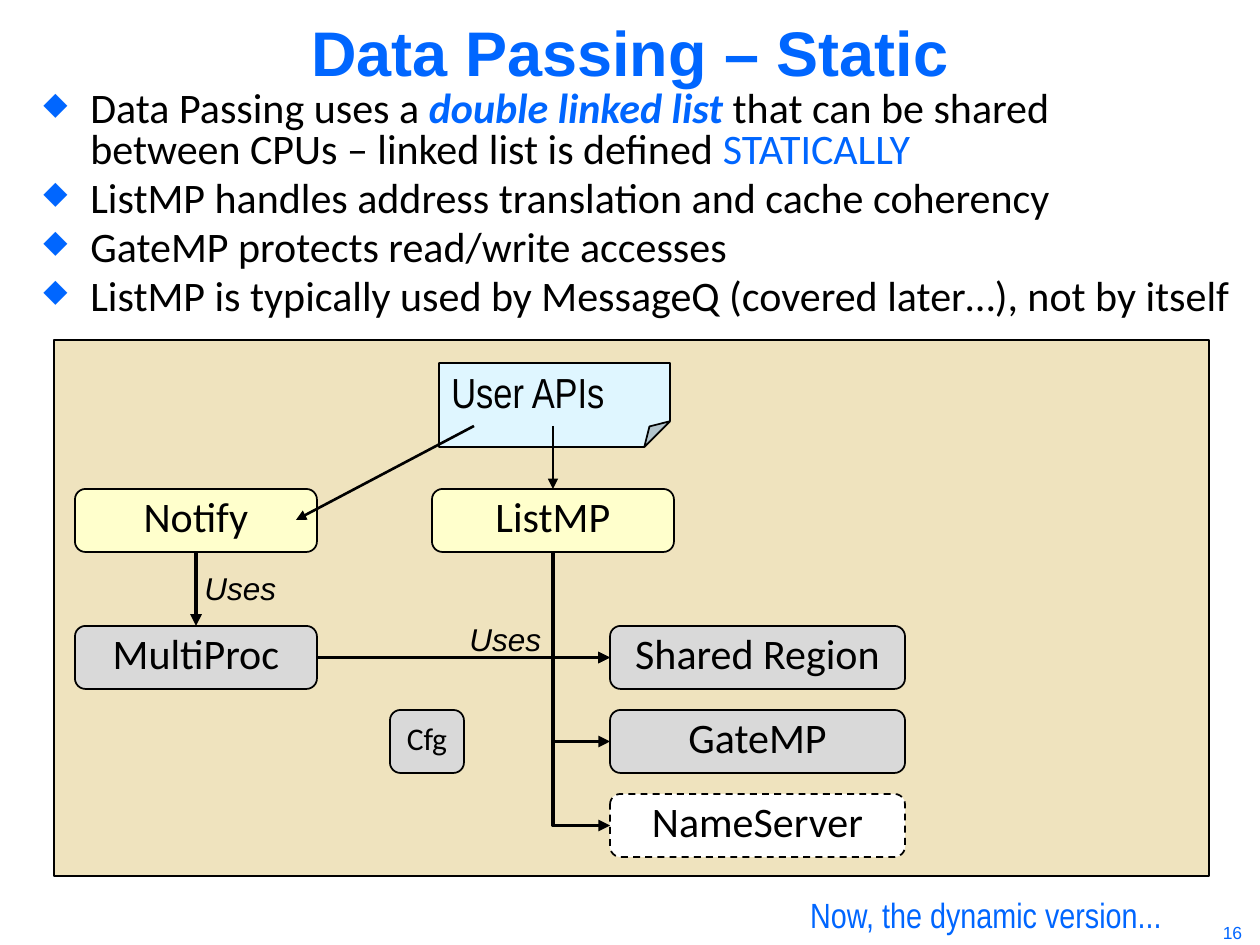
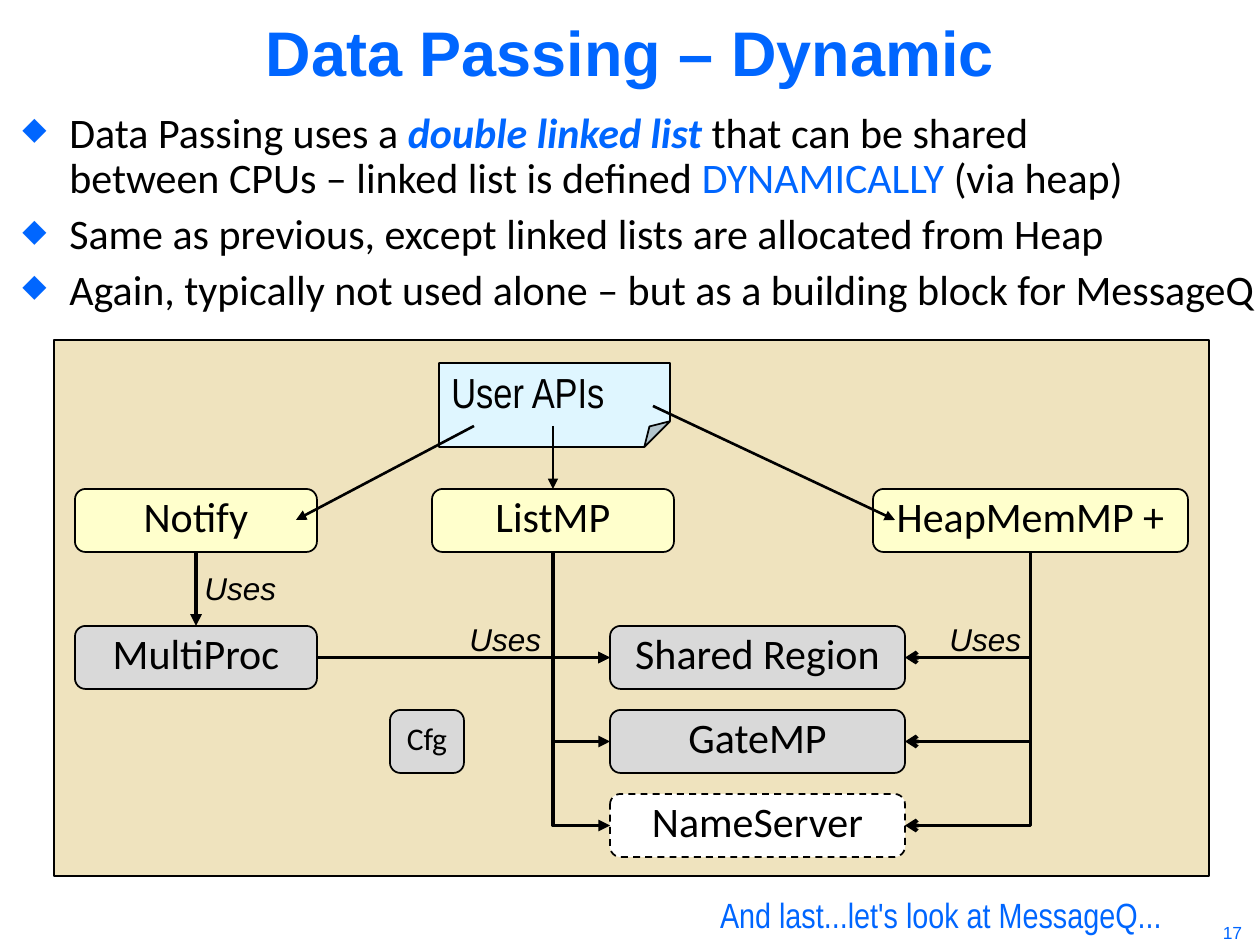
from lxml.etree import SubElement
from pptx import Presentation
from pptx.dml.color import RGBColor
from pptx.enum.dml import MSO_LINE_DASH_STYLE as Dash
from pptx.enum.shapes import MSO_CONNECTOR as Link, MSO_SHAPE as Shape
from pptx.enum.text import MSO_ANCHOR as Anchor, MSO_AUTO_SIZE as AutoSize, PP_ALIGN as Align
from pptx.oxml.ns import qn
from pptx.util import Pt

# Shared look
BLUE = RGBColor(0x00, 0x66, 0xFF)
BLACK = RGBColor(0x00, 0x00, 0x00)
WHITE = RGBColor(0xFF, 0xFF, 0xFF)
SAND = RGBColor(0xEF, 0xE3, 0xBE)
YELLOW = RGBColor(0xFF, 0xFF, 0xCC)
GREY = RGBColor(0xD9, 0xD9, 0xD9)
SKY = RGBColor(0xDF, 0xF6, 0xFF)

PX_PER_INCH = 126
SLIDE_W, SLIDE_H = 1260, 945
NODE_H = 63
USES_W, USES_H = 102, 50
BOTTOM_NOTE_RIGHT = 1162
HANGING_INDENT = 47
TOP, LEFT, BOTTOM, RIGHT = range(4)

# Content: each bullet is a list of (text, style) runs; BREAK starts a new line
BREAK = ("", "break")
OPENING = [("Data Passing uses a ", ""), ("double linked list ", "strong"),
           ("that can be shared", ""), BREAK,
           ("between CPUs – linked list is defined ", "")]

SLIDES = [
    {
        "title": "Data Passing – Static",
        "bullets": [
            OPENING + [("STATICALLY", "blue")],
            [("ListMP handles address translation and cache coherency", "")],
            [("GateMP protects read/write accesses", "")],
            [("ListMP is typically used by MessageQ (covered later…), not by itself", "")],
        ],
        "bullet_box": (31, 84, 1213, 243), "line_spacing": 0.8, "gap": 5,
        "next": "Now, the dynamic version...", "next_width": 354,
        "number": "16", "heap": False,
    },
    {
        "title": "Data Passing – Dynamic",
        "bullets": [
            OPENING + [("DYNAMICALLY", "blue"), (" (via heap)", "")],
            [("Same as previous, except linked lists are allocated from Heap", "")],
            [("Again, typically not used alone – but as a building block for MessageQ", "")],
        ],
        "bullet_box": (10, 105, 1259, 217), "line_spacing": 0.9, "gap": 6,
        "next": "And last...let's look at MessageQ...", "next_width": 445,
        "number": "17", "heap": True,
    },
]

# Diagram: name -> left, top, width, fill
API_ROW, SERVICE_ROW, ROW_STEP = 489, 626, 84
PANEL = (54, 340, 1155, 536)
USER_APIS = (439, 363, 231, 84)
NODES = {
    "Notify": (75, API_ROW, 242, YELLOW),
    "MultiProc": (75, SERVICE_ROW, 242, GREY),
    "ListMP": (432, API_ROW, 242, YELLOW),
    "Cfg": (390, SERVICE_ROW + ROW_STEP, 74, GREY),
}
SERVICES = {"Shared Region": GREY, "GateMP": GREY, "NameServer": WHITE}
NODES |= {name: (610, SERVICE_ROW + row * ROW_STEP, 295, fill)
          for row, (name, fill) in enumerate(SERVICES.items())}
HEAP_NODE = {"HeapMemMP +": (873, API_ROW, 315, YELLOW)}

STRAIGHT_USES = [("Notify", BOTTOM, "MultiProc", TOP),
                 ("MultiProc", RIGHT, "Shared Region", LEFT)]
USES_LABELS = [(192, 563), (457, 614)]
HEAP_USES_LABEL = (937, 614)
NOTIFY_CALL = (474, 426, 296, 520)
LISTMP_CALL = (553, 426, 553, API_ROW)
HEAP_CALL = (653, 406, 895, 520)


def emu(px):
    return round(px * 914400 / PX_PER_INCH)


def place(box):
    return [emu(length) for length in box]


def style(font, name, size, color=BLACK):
    font.name, font.size, font.color.rgb = name, Pt(size), color


# Text
def text_box(slide, box, anchor=Anchor.MIDDLE, wrap=False):
    frame = slide.shapes.add_textbox(*place(box)).text_frame
    frame.word_wrap = wrap
    frame.auto_size = AutoSize.SHAPE_TO_FIT_TEXT
    frame.vertical_anchor = anchor
    return frame


def add_label(slide, text, box, font, size, color=BLACK, align=Align.LEFT, **options):
    frame = text_box(slide, box, **options)
    line = frame.paragraphs[0]
    line.text, line.alignment = text, align
    style(line.font, font, size, color)
    return frame, line


def add_title(slide, text):
    title = slide.shapes.title
    title.left, title.top, title.width, title.height = place((0, 0, SLIDE_W, 102))
    frame = title.text_frame
    frame.text = text
    frame.word_wrap, frame.auto_size = False, AutoSize.NONE
    frame.vertical_anchor = Anchor.MIDDLE
    heading = frame.paragraphs[0]
    heading.alignment = Align.CENTER
    style(heading.font, "Arial", 36, BLUE)
    heading.font.bold = True


def add_diamond(bullet):
    props = bullet._p.get_or_add_pPr()
    props.set("marL", str(emu(HANGING_INDENT)))
    props.set("indent", str(-emu(HANGING_INDENT)))
    color = SubElement(props, qn("a:buClr"))
    SubElement(color, qn("a:srgbClr"), val=str(BLUE))
    SubElement(props, qn("a:buSzPct"), val="75000")
    SubElement(props, qn("a:buChar"), char="◆")


def add_bullets(slide, content):
    frame = text_box(slide, content["bullet_box"])
    for index, runs in enumerate(content["bullets"]):
        bullet = frame.add_paragraph() if index else frame.paragraphs[0]
        add_diamond(bullet)
        bullet.line_spacing = content["line_spacing"]
        bullet.space_before = Pt(content["gap"] if index else 0)
        style(bullet.font, "Calibri", 24)
        for text, look in runs:
            if look == "break":
                bullet.add_line_break()
                continue
            run = bullet.add_run()
            run.text = text
            if look:
                run.font.color.rgb = BLUE
            if look == "strong":
                run.font.bold = run.font.italic = True


# Diagram parts
def add_block(slide, kind, box, fill):
    block = slide.shapes.add_shape(kind, *place(box))
    block.shadow.inherit = False
    block.fill.solid()
    block.fill.fore_color.rgb = fill
    block.line.color.rgb, block.line.width = BLACK, Pt(1)
    return block


def write_in(block, text, font, size, align, anchor):
    block.text_frame.word_wrap = True
    block.text_frame.vertical_anchor = anchor
    caption = block.text_frame.paragraphs[0]
    caption.text, caption.alignment, caption.line_spacing = text, align, 0.8
    style(caption.font, font, size)


def add_node(slide, name, left, top, width, fill):
    node = add_block(slide, Shape.ROUNDED_RECTANGLE, (left, top, width, NODE_H), fill)
    if name == "NameServer":
        node.line.dash_style = Dash.DASH
    write_in(node, name, "Calibri", 18 if name == "Cfg" else 24, Align.CENTER, Anchor.MIDDLE)
    return node


def add_user_apis(slide):
    note = add_block(slide, Shape.FOLDED_CORNER, USER_APIS, SKY)
    fold = note._element.spPr.find(qn("a:prstGeom")).get_or_add_avLst()
    SubElement(fold, qn("a:gd"), name="adj", fmla="val 30600")
    note.text_frame.margin_top = emu(13)
    write_in(note, "User APIs", "Arial Narrow", 24, Align.LEFT, Anchor.TOP)


def add_arrow(slide, kind, ends, weight, head="triangle"):
    arrow = slide.shapes.add_connector(kind, *ends)
    arrow.line.color.rgb, arrow.line.width = BLACK, Pt(weight)
    props = arrow._element.spPr
    SubElement(props.find(qn("a:ln")), qn("a:tailEnd"), type=head)
    SubElement(props, qn("a:effectLst"))
    return arrow


def add_elbow(slide, user, service):
    """Run down from the user's bottom, then sideways into the service."""
    x1, y1 = user.left + user.width // 2, user.top + user.height
    y2 = service.top + service.height // 2
    rightward = x1 < service.left
    x2 = service.left if rightward else service.left + service.width
    # The one-bend preset is turned a quarter, so its width is the drop
    drop, reach = y2 - y1, abs(x2 - x1)
    left, top = (x1 + x2 - drop) // 2, (y1 + y2 - reach) // 2
    elbow = add_arrow(slide, Link.ELBOW, (left, top, left + drop, top + reach),
                      2.25, "triangle" if rightward else "arrow")
    props = elbow._element.spPr
    props.find(qn("a:prstGeom")).set("prst", "bentConnector2")
    frame = props.find(qn("a:xfrm"))
    frame.set("rot", str((270 if rightward else 90) * 60000))
    if rightward:
        frame.set("flipH", "1")


def add_diagram(slide, heap):
    add_block(slide, Shape.RECTANGLE, PANEL, SAND)
    add_user_apis(slide)
    layout = NODES | HEAP_NODE if heap else NODES
    nodes = {name: add_node(slide, name, *spec) for name, spec in layout.items()}

    # What each part uses
    for user, user_side, used, used_side in STRAIGHT_USES:
        arrow = add_arrow(slide, Link.STRAIGHT, (0, 0, 0, 0), 2.25)
        arrow.begin_connect(nodes[user], user_side)
        arrow.end_connect(nodes[used], used_side)
    for user in ["ListMP", *(HEAP_NODE if heap else ())]:
        for service in SERVICES:
            add_elbow(slide, nodes[user], nodes[service])
    for left, top in USES_LABELS + [HEAP_USES_LABEL] * heap:
        _, uses = add_label(slide, "Uses", (left, top, USES_W, USES_H), "Arial", 18)
        uses.font.italic = True

    # Calls from the user APIs
    for ends in [NOTIFY_CALL] + [HEAP_CALL] * heap:
        add_arrow(slide, Link.STRAIGHT, place(ends), 1.5)
    listmp_call = add_arrow(slide, Link.STRAIGHT, place(LISTMP_CALL), 1.5)
    listmp_call.end_connect(nodes["ListMP"], TOP)


def add_footer(slide, content):
    width = content["next_width"]
    frame, note = add_label(slide, content["next"], (BOTTOM_NOTE_RIGHT - width, 901, width, 34),
                            "Arial Narrow", 20, BLUE, Align.RIGHT, anchor=Anchor.BOTTOM)
    frame.margin_left = frame.margin_top = frame.margin_right = frame.margin_bottom = 0
    note.line_spacing = 0.8
    add_label(slide, content["number"], (1189, 916, 87, 34), "Arial", 10, BLUE,
              Align.CENTER, wrap=True)


def main():
    deck = Presentation()
    deck.slide_width, deck.slide_height = emu(SLIDE_W), emu(SLIDE_H)
    title_only = deck.slide_layouts[5]
    for content in SLIDES:
        slide = deck.slides.add_slide(title_only)
        add_title(slide, content["title"])
        add_bullets(slide, content)
        add_diagram(slide, content["heap"])
        add_footer(slide, content)
    deck.save("out.pptx")


if __name__ == "__main__":
    main()
